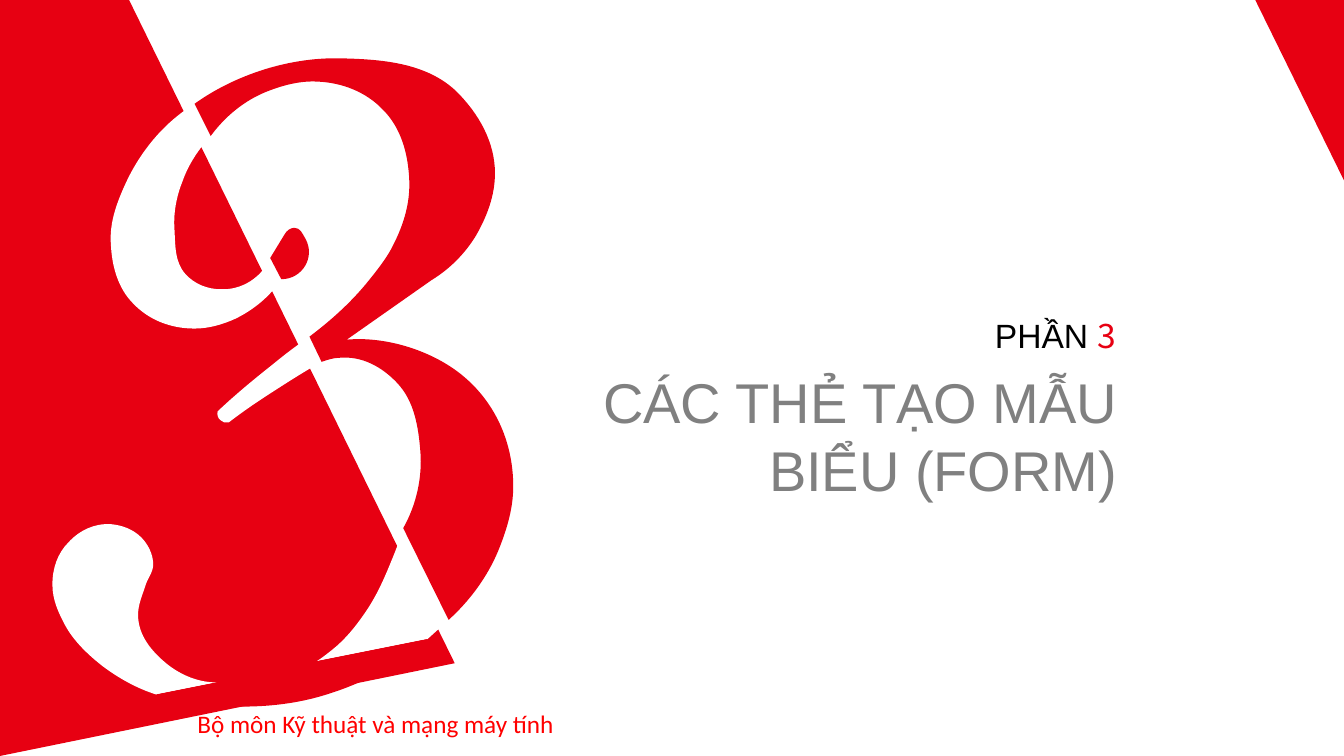
from dataclasses import dataclass

from lxml import etree
from pptx import Presentation
from pptx.dml.color import RGBColor
from pptx.enum.text import MSO_ANCHOR, MSO_AUTO_SIZE, PP_ALIGN
from pptx.oxml.ns import qn
from pptx.util import Inches, Pt

RED = RGBColor(0xE7, 0x00, 0x12)
FOOTER_RED = RGBColor(0xFF, 0x00, 0x00)
WHITE = RGBColor(0xFF, 0xFF, 0xFF)
GRAY = RGBColor(0x80, 0x80, 0x80)
BLACK = RGBColor(0x00, 0x00, 0x00)

LEFT, RIGHT = PP_ALIGN.LEFT, PP_ALIGN.RIGHT
TOP = MSO_ANCHOR.TOP
NO_AUTOFIT = MSO_AUTO_SIZE.NONE

# The slide is a grid of square cells, a hundredth of an inch wide.
CELL = Inches(0.01)
COLUMNS, ROWS = 1333, 750
TITLE_ONLY = 5

Point = tuple[int, int]


@dataclass(frozen=True)
class Outline:
    """A closed outline of strokes, each going on from the end of the one before.

    A stroke of one point is a straight line; a longer one is a smooth curve.
    """
    color: RGBColor
    start: Point
    strokes: list[list[Point]]


@dataclass(frozen=True)
class TextRun:
    text: str
    font: str
    size: int
    color: RGBColor


@dataclass(frozen=True)
class TextBlock:
    column: int
    row: int
    columns: int
    rows: int
    align: PP_ALIGN
    wrap: bool
    runs: list[TextRun]


def cut(row: int) -> Point:
    """The point at this row on the slanting cut through the numeral."""
    return round(142.3 + 0.492 * row), row


def base(column: int) -> Point:
    """The point at this column on the lower edge of the left corner."""
    return column, round(720.7 - 0.2045 * column)


CORNERS = [
    Outline(RED, (0, 0), [[(128, 0)], [(451, 658)], [(0, ROWS)]]),
    Outline(RED, (1245, 0), [[(COLUMNS, 0)], [(COLUMNS, 179)]]),
]

UPPER_BOWL = Outline(WHITE, cut(103), [
    [cut(135)],
    [(181, 180), (173, 227), (184, 272), (219, 287), cut(256)],
    [cut(277)],
    [(234, 316), (193, 326), (132, 301), (110, 243), (127, 177), cut(103)]])
MIDDLE_STROKE = Outline(WHITE, cut(334), [
    [cut(359)],
    [(267, 391), (227, 419)],
    [(219, 417), (216, 408)],
    [(270, 362), cut(334)]])
LOWER_TAIL = Outline(WHITE, base(155), [
    [(102, 661), (65, 621), (52, 580), (68, 538), (110, 520), (140, 533),
     (152, 560), (144, 582), (137, 610), (166, 659), base(215)]])
LOWER_BOWL = Outline(WHITE, cut(524), [
    [cut(615)],
    [base(424)],
    [base(314)],
    [(329, 645), (364, 605), (392, 547), cut(524)]])
RIGHT_BOWLS = Outline(RED, cut(103), [
    [(262, 69), (341, 58), (453, 91), (491, 172), (472, 234), (428, 278)],
    [(344, 337)],
    [(413, 347), (465, 378), (509, 478), (494, 547), cut(615)],
    [cut(524)],
    [(417, 448), (394, 380), (337, 355), cut(359)],
    [cut(334)],
    [(362, 283), (387, 249), (406, 179), (380, 109), (315, 81), (262, 92),
     cut(135)]])
UPPER_TIP = Outline(RED, cut(256), [
    [(282, 233)],
    [(292, 226), (303, 237), cut(277)]])
NUMERAL_BASE = Outline(RED, base(424), [
    [(330, 687), (240, 701), base(155)],
    [base(215)],
    [(236, 678), (276, 673), base(314)]])
NUMERAL = [UPPER_BOWL, MIDDLE_STROKE, LOWER_TAIL, LOWER_BOWL, RIGHT_BOWLS,
           UPPER_TIP, NUMERAL_BASE]

TITLE = TextBlock(544, 360, 574, 293, RIGHT, True, [
    TextRun("CÁC THẺ TẠO MẪU BIỂU (FORM)", "Arial", 40, GRAY)])
LABELS = [
    TextBlock(186, 698, 378, 40, LEFT, False, [
        TextRun("Bộ môn Kỹ thuật và mạng máy tính", "Calibri", 18, FOOTER_RED)]),
    TextBlock(974, 308, 143, 50, RIGHT, False, [
        TextRun("PHẦN ", "Arial", 24, BLACK),
        TextRun("3", "Noto Sans CJK SC", 24, RED)]),
]


def curve_controls(points: list[Point]) -> list[tuple[complex, ...]]:
    """Two Bézier controls for each step, following circles through neighbours."""
    spots = [complex(*point) for point in points]
    chords = [after - before for before, after in zip(spots, spots[1:])]
    if len(chords) == 1:
        return [()]
    units = [chord / abs(chord) for chord in chords]
    tangents = []
    for index in range(len(chords) - 1):
        tangent = (units[index] * abs(chords[index + 1])
                   + units[index + 1] * abs(chords[index]))
        tangents.append(tangent / abs(tangent))
    first = units[0] ** 2 * tangents[0].conjugate()
    last = units[-1] ** 2 * tangents[-1].conjugate()
    tangents = [first, *tangents, last]

    controls = []
    for index, chord in enumerate(chords):
        leaving, arriving = tangents[index:index + 2]
        cosine = ((leaving + arriving) / 2 * units[index].conjugate()).real
        reach = abs(chord) * 2 / (3 * (1 + cosine))
        controls.append((spots[index] + leaving * reach,
                         spots[index + 1] - arriving * reach))
    return controls


def draw_outline(shapes, outline: Outline) -> None:
    """Build the outline through its anchors, then bend the curved steps."""
    anchors, controls = [outline.start], []
    for stroke in outline.strokes:
        controls += curve_controls([anchors[-1], *stroke])
        anchors += stroke
    builder = shapes.build_freeform(*outline.start, scale=CELL)
    builder.add_line_segments(anchors[1:], close=True)
    shape = builder.convert_to_shape()
    shape.shadow.inherit = False
    shape.fill.solid()
    shape.fill.fore_color.rgb = outline.color
    shape.line.fill.background()

    left, top = (min(values) for values in zip(*anchors))
    lines = list(shape.element.iter(qn("a:lnTo")))
    for line, pair in zip(lines, controls):
        if pair:
            line.tag = qn("a:cubicBezTo")
        for index, control in enumerate(pair):
            x, y = round(control.real) - left, round(control.imag) - top
            line.insert(index, etree.Element(qn("a:pt"), x=str(x), y=str(y)))


def fill_text(shape, block: TextBlock) -> None:
    place = {"left": block.column, "top": block.row,
             "width": block.columns, "height": block.rows}
    for name, cells in place.items():
        setattr(shape, name, cells * CELL)
    frame = shape.text_frame
    frame_format = {"word_wrap": block.wrap, "auto_size": NO_AUTOFIT,
                    "vertical_anchor": TOP}
    for name, value in frame_format.items():
        setattr(frame, name, value)
    paragraph = frame.paragraphs[0]
    paragraph.alignment = block.align
    for text_run in block.runs:
        run = paragraph.add_run()
        run.text = text_run.text
        run.font.name = text_run.font
        run.font.size = Pt(text_run.size)
        run.font.color.rgb = text_run.color


def main() -> None:
    presentation = Presentation()
    presentation.slide_width = COLUMNS * CELL
    presentation.slide_height = ROWS * CELL
    slide = presentation.slides.add_slide(presentation.slide_layouts[TITLE_ONLY])

    for corner in CORNERS:
        draw_outline(slide.shapes, corner)
    numeral = slide.shapes.add_group_shape()
    for piece in NUMERAL:
        draw_outline(numeral.shapes, piece)
    fill_text(slide.shapes.title, TITLE)
    for label in LABELS:
        fill_text(slide.shapes.add_textbox(0, 0, CELL, CELL), label)

    presentation.save("out.pptx")


if __name__ == "__main__":
    main()
